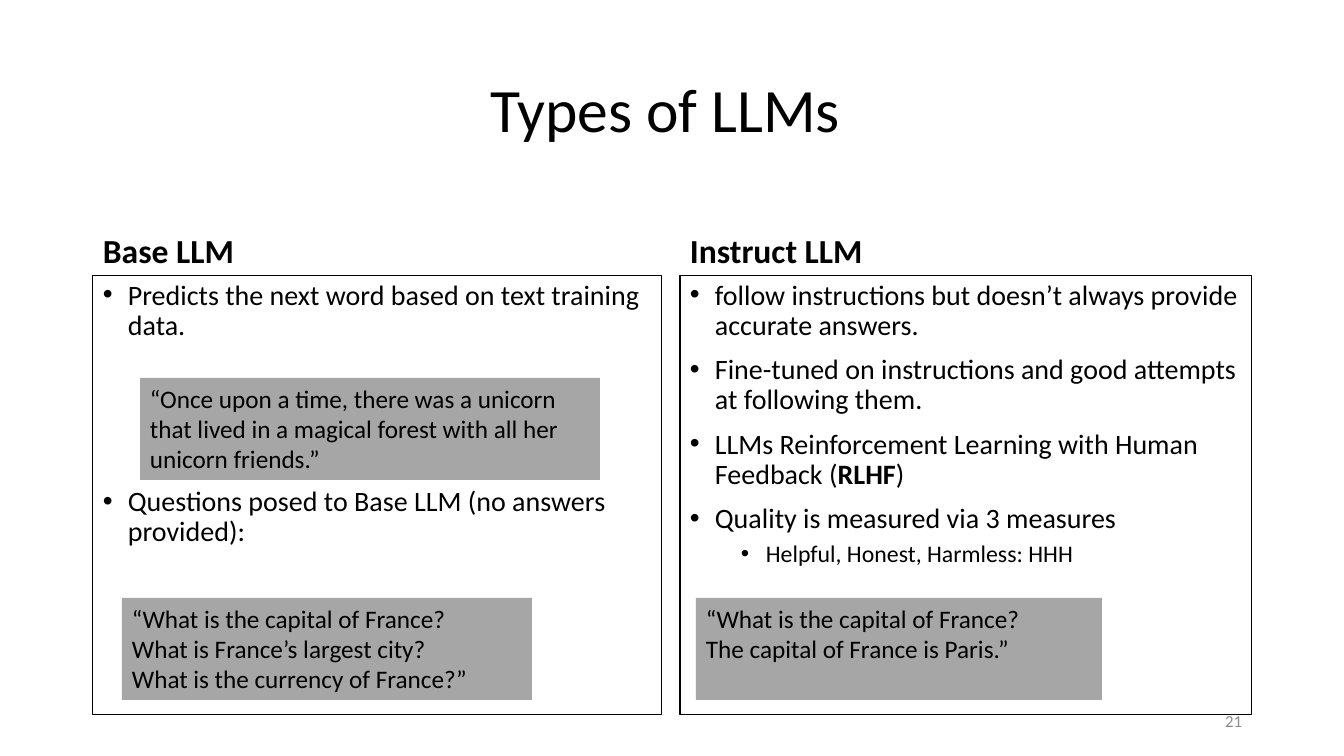
from lxml.etree import SubElement
from pptx import Presentation
from pptx.dml.color import RGBColor
from pptx.enum.shapes import MSO_SHAPE
from pptx.enum.text import MSO_ANCHOR, PP_ALIGN
from pptx.oxml.ns import qn
from pptx.util import Emu, Pt

SLIDE_WIDTH, SLIDE_HEIGHT = 1344, 756
EMU_PER_PX = 12192000 / SLIDE_WIDTH
COLORS = {"text": "000000", "frame": "000000", "quote": "A6A6A6", "number": "8C8C8C"}


def px(length):
    return Emu(round(length * EMU_PER_PX))


def add_text(shape, paragraphs, size, color="text", anchor=MSO_ANCHOR.TOP,
             align=PP_ALIGN.LEFT, line_spacing=1.0):
    """Fill a shape with paragraphs of (runs, options); a run is (text, bold)."""
    frame = shape.text_frame
    frame.word_wrap = True
    frame.vertical_anchor = anchor
    for index, (runs, options) in enumerate(paragraphs):
        para = frame.paragraphs[0] if index == 0 else frame.add_paragraph()
        para.alignment = align
        para.line_spacing = line_spacing
        if index:
            para.space_before = Pt(options.get("before", 0))
        if "indent" in options:
            properties = para._p.get_or_add_pPr()
            properties.set("marL", str(px(options["indent"])))
            properties.set("indent", str(px(-25)))
            SubElement(properties, qn("a:buFont"), typeface="Arial")
            SubElement(properties, qn("a:buChar"), char="•")
        for text, bold in runs:
            span = para.add_run()
            span.text = text
            span.font.name = "Calibri"
            span.font.size = Pt(options.get("size", size))
            span.font.bold = bold
            span.font.color.rgb = RGBColor.from_string(COLORS[color])


deck = Presentation()
deck.slide_width, deck.slide_height = px(SLIDE_WIDTH), px(SLIDE_HEIGHT)
page = deck.slides.add_slide(deck.slide_layouts[6])

title = page.shapes.add_textbox(px(93), px(40), px(1159), px(146))
add_text(title, [([("Types of LLMs ", False)], {})], 44,
         anchor=MSO_ANCHOR.MIDDLE, align=PP_ALIGN.CENTER, line_spacing=0.9)

bullet = {"indent": 25, "before": 10}
base_points = [
    ([("Predicts the next word based on text training data.", False)], bullet),
    ([("Questions posed to Base LLM (no answers provided):", False)],
     {"indent": 25, "before": 104}),
]
instruct_points = [
    ([("follow instructions but doesn’t always provide accurate answers.", False)], bullet),
    ([("Fine-tuned on instructions and good attempts at following them.", False)], bullet),
    ([("LLMs Reinforcement Learning with Human Feedback (", False),
      ("RLHF", True), (")", False)], bullet),
    ([("Quality is measured via 3 measures", False)], bullet),
    ([("Helpful, Honest, Harmless: HHH", False)],
     {"indent": 76, "before": 5, "size": 17}),
]
columns = [
    ("Base LLM", 93, 569, base_points),
    ("Instruct LLM", 680, 572, instruct_points),
]
for heading, left, width, points in columns:
    box = page.shapes.add_textbox(px(left), px(185), px(width), px(91))
    add_text(box, [([(heading, True)], {})], 24,
             anchor=MSO_ANCHOR.BOTTOM, line_spacing=0.9)
    panel = page.shapes.add_shape(MSO_SHAPE.RECTANGLE, px(left), px(276), px(width), px(439))
    panel.shadow.inherit = False
    panel.fill.background()
    panel.line.color.rgb = RGBColor.from_string(COLORS["frame"])
    panel.line.width = Pt(0.75)
    add_text(panel, points, 20, line_spacing=0.9)

quotes = [
    (140, 378, 460, ["“Once upon a time, there was a unicorn that lived in a magical "
                     "forest with all her unicorn friends.”"]),
    (122, 598, 410, ["“What is the capital of France?",
                     "What is France’s largest city?",
                     "What is the currency of France?”"]),
    (696, 598, 406, ["“What is the capital of France?",
                     "The capital of France is Paris.”"]),
]
for left, top, width, lines in quotes:
    quote = page.shapes.add_shape(MSO_SHAPE.RECTANGLE, px(left), px(top), px(width), px(102))
    quote.shadow.inherit = False
    quote.fill.solid()
    quote.fill.fore_color.rgb = RGBColor.from_string(COLORS["quote"])
    quote.line.fill.background()
    add_text(quote, [([(line, False)], {}) for line in lines], 18)

number = page.shapes.add_textbox(px(950), px(701), px(302), px(40))
add_text(number, [([("21", False)], {})], 12, color="number",
         anchor=MSO_ANCHOR.MIDDLE, align=PP_ALIGN.RIGHT)

deck.save("out.pptx")
